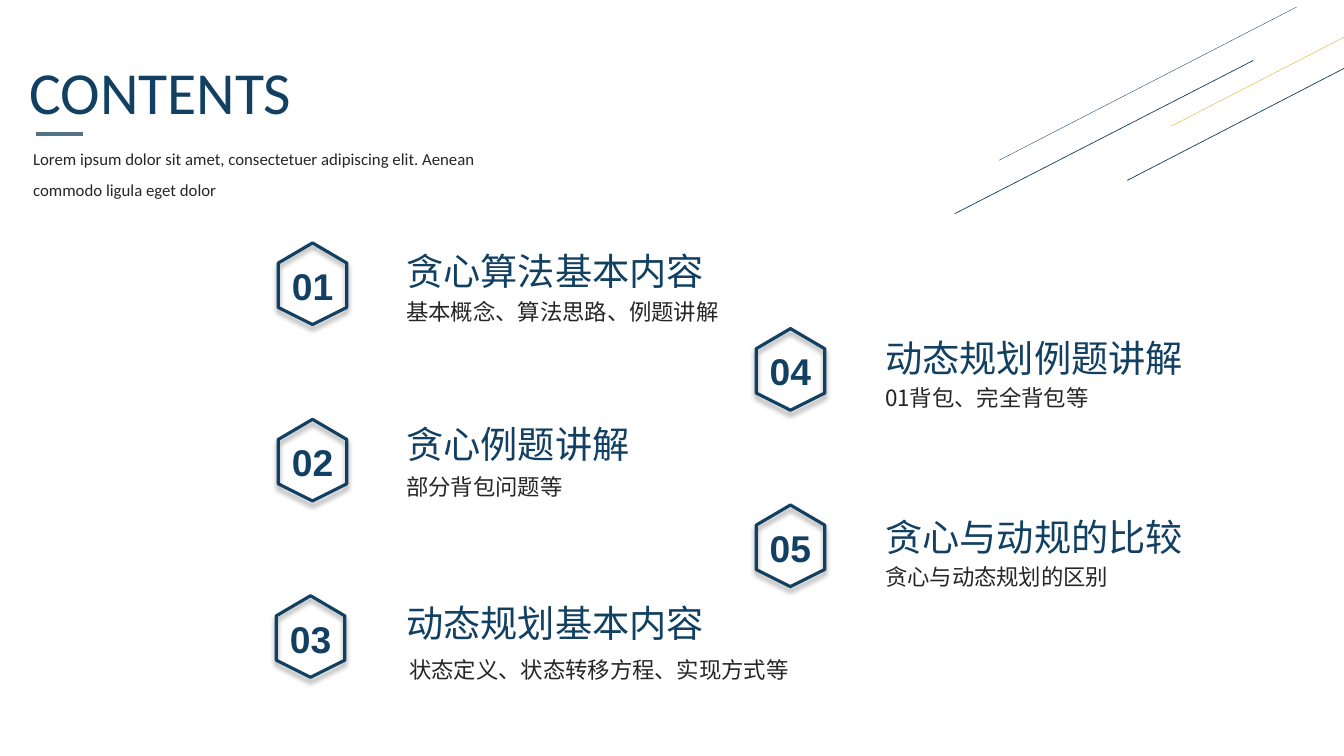
from lxml.etree import SubElement
from pptx import Presentation
from pptx.dml.color import RGBColor
from pptx.enum.shapes import MSO_CONNECTOR
from pptx.enum.text import MSO_ANCHOR, MSO_AUTO_SIZE, PP_ALIGN
from pptx.oxml.ns import qn
from pptx.util import Inches, Pt

NAVY = RGBColor(0x12, 0x40, 0x62)
SLATE = RGBColor(0x53, 0x72, 0x85)
GOLD = RGBColor(0xDC, 0xAA, 0x1F)
INK = RGBColor(0x26, 0x26, 0x26)
LATIN, NUMERAL, CHINESE = "Calibri", "Arial", "Noto Sans CJK SC"

HEADING = "CONTENTS"
INTRO = "Lorem ipsum dolor sit amet, consectetuer adipiscing elit. Aenean commodo ligula eget dolor"

# number, (badge left, top), topic, (left, top, width), detail, (left, top, width)
CHAPTERS = [
    ("01", (2.76, 2.41), "贪心算法基本内容", (3.93, 2.41, 3.21),
     "基本概念、算法思路、例题讲解", (3.93, 2.91, 3.4)),
    ("02", (2.76, 4.16), "贪心例题讲解", (3.93, 4.13, 2.61),
     "部分背包问题等", (3.93, 4.64, 1.9)),
    ("03", (2.74, 5.91), "动态规划基本内容", (3.93, 5.91, 3.21),
     "状态定义、状态转移方程、实现方式等", (3.96, 6.46, 4.1)),
    ("04", (7.5, 3.26), "动态规划例题讲解", (8.68, 3.28, 3.52),
     "01背包、完全背包等", (8.68, 3.76, 2.24)),
    ("05", (7.5, 5.01), "贪心与动规的比较", (8.68, 5.05, 3.22),
     "贪心与动态规划的区别", (8.68, 5.54, 2.5)),
]
HEXAGON = [(0.34, 0), (0.68, 0.2), (0.68, 0.64), (0.34, 0.81), (0, 0.64), (0, 0.2)]

# start, end, colour, width in points
STROKES = [
    ((0.36, 1.33), (0.82, 1.33), SLATE, 2.25),
    ((9.47, 2.12), (12.43, 0.6), NAVY, 0.5),
    ((9.91, 1.59), (12.86, 0.07), NAVY, 0.25),
    ((11.18, 1.79), (14.14, 0.26), NAVY, 0.5),
    ((11.62, 1.25), (14.57, -0.27), GOLD, 0.25),
]


def write(box, text, size, font=CHINESE, color=NAVY, bold=False,
          align=PP_ALIGN.LEFT, spacing=1.0, wrap=True):
    frame = box.text_frame
    frame.word_wrap = wrap
    frame.auto_size = MSO_AUTO_SIZE.SHAPE_TO_FIT_TEXT
    frame.vertical_anchor = MSO_ANCHOR.TOP
    paragraph = frame.paragraphs[0]
    paragraph.alignment = align
    paragraph.line_spacing = spacing
    run = paragraph.add_run()
    run.text = text
    run.font.size = Pt(size)
    run.font.bold = bold
    run.font.color.rgb = color
    run.font.name = font
    # East Asian characters take their typeface from a separate element
    SubElement(run.font._element, qn("a:ea"), typeface=font)


def add_text(shapes, place, text, size, **style):
    write(shapes.add_textbox(*map(Inches, place)), text, size, **style)


def add_soft_shadow(shape):
    effects = SubElement(shape._element.spPr, qn("a:effectLst"))
    shadow = SubElement(effects, qn("a:outerShdw"), blurRad=str(Pt(4)),
                        dist=str(Pt(3)), dir="5400000", rotWithShape="0")
    black = SubElement(shadow, qn("a:srgbClr"), val="000000")
    SubElement(black, qn("a:alpha"), val="40000")


def add_badge(shapes, number, left, top):
    badge = shapes.add_group_shape().shapes
    corners = [(Inches(left + x), Inches(top + y)) for x, y in HEXAGON]
    outline = badge.build_freeform(*corners[0])
    outline.add_line_segments(corners[1:], close=True)
    hexagon = outline.convert_to_shape()
    hexagon.fill.background()
    hexagon.line.color.rgb = NAVY
    hexagon.line.width = Pt(2.25)
    add_soft_shadow(hexagon)
    add_text(badge, (left + 0.03, top + 0.15, 0.62, 0.55), number, 26.6,
             font=NUMERAL, bold=True, align=PP_ALIGN.CENTER, wrap=False)


def add_stroke(shapes, start, end, color, width):
    stroke = shapes.add_connector(MSO_CONNECTOR.STRAIGHT, *map(Inches, start + end))
    stroke.line.color.rgb = color
    stroke.line.width = Pt(width)
    SubElement(stroke._element.spPr, qn("a:effectLst"))


def main():
    deck = Presentation()
    deck.slide_width, deck.slide_height = Inches(13.33), Inches(7.5)
    slide = deck.slides.add_slide(deck.slide_layouts[5])
    shapes = slide.shapes

    heading = shapes.title
    heading.left, heading.top = Inches(0.19), Inches(0.49)
    heading.width, heading.height = Inches(3.66), Inches(0.82)
    write(heading, HEADING, 42.6, font=LATIN)
    add_text(shapes, (0.23, 1.33, 4.61, 0.68), INTRO, 12,
             font=LATIN, color=INK, spacing=1.5)

    for stroke in STROKES:
        add_stroke(shapes, *stroke)
    for number, corner, topic, topic_place, detail, detail_place in CHAPTERS:
        add_badge(shapes, number, *corner)
        add_text(shapes, (*topic_place, 0.55), topic, 26.6)
        add_text(shapes, (*detail_place, 0.37), detail, 16, color=INK)

    deck.save("out.pptx")


if __name__ == "__main__":
    main()
